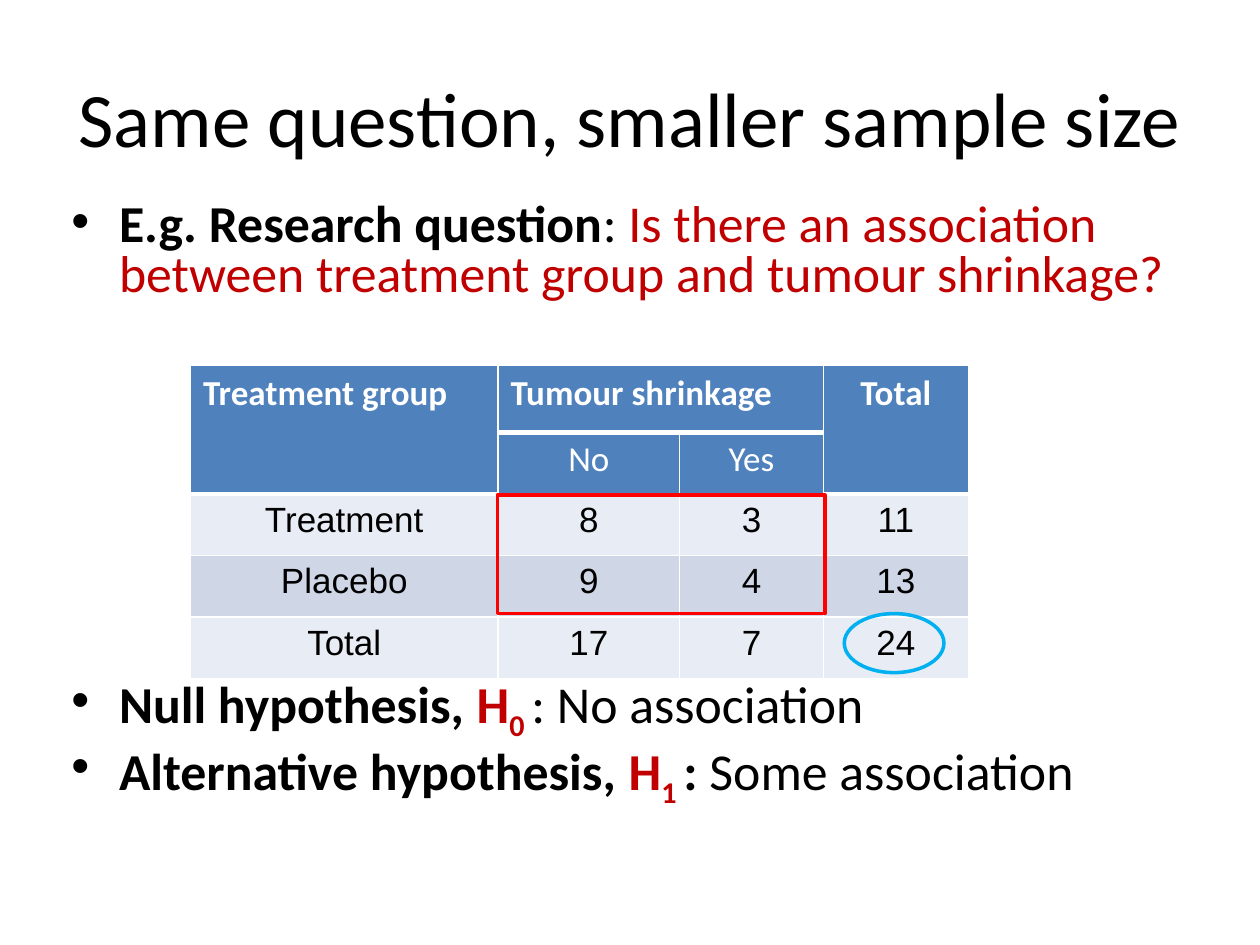
from dataclasses import dataclass

from lxml.etree import SubElement
from pptx import Presentation
from pptx.dml.color import RGBColor
from pptx.enum.shapes import MSO_SHAPE
from pptx.enum.text import MSO_ANCHOR, PP_ALIGN
from pptx.oxml.ns import qn
from pptx.slide import Slide
from pptx.table import _Cell
from pptx.text.text import Font, TextFrame
from pptx.util import Cm, Pt

COLORS = {
    "black": "000000",
    "white": "FFFFFF",
    "emphasis": "C00000",
    "header": "4F81BD",
    "band_light": "E8ECF4",
    "band_dark": "CFD7E7",
    "counts_outline": "FF0000",
    "sample_outline": "00B0F0",
}


@dataclass(frozen=True)
class Phrase:
    text: str
    color: str = "black"
    bold: bool = False
    subscript: bool = False


@dataclass(frozen=True)
class Statement:
    phrases: tuple[Phrase, ...]
    space_before: float


@dataclass(frozen=True)
class Highlight:
    preset: MSO_SHAPE
    box: tuple[float, float, float, float]
    color: str


STATEMENTS = (
    Statement((
        Phrase("E.g. Research question", bold=True),
        Phrase(": "),
        Phrase("Is there an association between treatment group and tumour shrinkage?", "emphasis"),
    ), 0),
    Statement((
        Phrase("Null hypothesis, ", bold=True),
        Phrase("H", "emphasis", True),
        Phrase("0 ", "emphasis", True, True),
        Phrase(": No association"),
    ), 214.9),
    Statement((
        Phrase("Alternative hypothesis, ", bold=True),
        Phrase("H", "emphasis", True),
        Phrase("1 ", "emphasis", True, True),
        Phrase(": ", bold=True),
        Phrase("Some association"),
    ), 5.9),
)

COUNTS = (
    ("Treatment group", "Tumour shrinkage", "", "Total"),
    ("", "No", "Yes", ""),
    ("Treatment", "8", "3", "11"),
    ("Placebo", "9", "4", "13"),
    ("Total", "17", "7", "24"),
)
COLUMN_WIDTHS = (6.2, 3.66, 2.9, 2.92)
ROW_HEIGHTS = (1.35, 1.24, 1.24, 1.24, 1.24)
ROW_FILLS = ("header", "header", "band_light", "band_dark", "band_light")
MERGES = (((0, 0), (1, 0)), ((0, 1), (0, 2)), ((0, 3), (1, 3)))

HIGHLIGHTS = (
    Highlight(MSO_SHAPE.RECTANGLE, (10.03, 9.98, 6.6, 2.39), "counts_outline"),
    Highlight(MSO_SHAPE.OVAL, (17.02, 12.37, 2.01, 1.19), "sample_outline"),
)


def rgb(color: str) -> RGBColor:
    return RGBColor.from_string(COLORS[color])


def style_font(font: Font, size: float, color: str, bold: bool = False, name: str = "Calibri") -> None:
    font.name = name
    font.size = Pt(size)
    font.bold = bold
    font.color.rgb = rgb(color)


def add_text_frame(slide: Slide, *box: float) -> TextFrame:
    frame = slide.shapes.add_textbox(*map(Cm, box)).text_frame
    frame.word_wrap = True
    return frame


def add_title(slide: Slide) -> None:
    title = add_text_frame(slide, 1.27, 0.76, 22.86, 3.18)
    title.vertical_anchor = MSO_ANCHOR.MIDDLE
    title.text = "Same question, smaller sample size"
    heading = title.paragraphs[0]
    heading.alignment = PP_ALIGN.CENTER
    style_font(heading.runs[0].font, 44, "black")


def add_statements(slide: Slide) -> None:
    body = add_text_frame(slide, 1.19, 3.96, 22.86, 13.77)
    for index, statement in enumerate(STATEMENTS):
        paragraph = body.add_paragraph() if index else body.paragraphs[0]
        paragraph.line_spacing = 0.8
        paragraph.space_before = Pt(statement.space_before)
        properties = paragraph._p.get_or_add_pPr()
        properties.set("marL", str(Cm(0.96)))
        properties.set("indent", str(-Cm(0.96)))
        bullet_color = SubElement(properties, qn("a:buClr"))
        SubElement(bullet_color, qn("a:srgbClr"), val=COLORS["black"])
        SubElement(properties, qn("a:buSzPct"), val="99000")
        SubElement(properties, qn("a:buFont"), typeface="Arial")
        SubElement(properties, qn("a:buChar"), char="•")
        for phrase in statement.phrases:
            run = paragraph.add_run()
            run.text = phrase.text
            style_font(run.font, 29.6, phrase.color, phrase.bold)
            if phrase.subscript:
                run._r.get_or_add_rPr().set("baseline", "-25000")


def set_borders(cell: _Cell, bottom_width: float) -> None:
    properties = cell._tc.get_or_add_tcPr()
    for side, width in (("L", 1), ("R", 1), ("T", 1), ("B", bottom_width)):
        border = SubElement(properties, qn(f"a:ln{side}"), w=str(Pt(width)))
        fill = SubElement(border, qn("a:solidFill"))
        SubElement(fill, qn("a:srgbClr"), val=COLORS["white"])


def fill_cell(cell: _Cell, text: str, row: int, column: int) -> None:
    merged_header = row == 0 or (row == 1 and column in (0, 3))
    set_borders(cell, 3 if merged_header else 1)
    cell.fill.solid()
    cell.fill.fore_color.rgb = rgb(ROW_FILLS[row])
    if not text:
        return
    cell.text_frame.text = text
    paragraph = cell.text_frame.paragraphs[0]
    if row or column == 3:
        paragraph.alignment = PP_ALIGN.CENTER
    if row:
        paragraph.line_spacing = 0.65
        cell.vertical_anchor = MSO_ANCHOR.MIDDLE
        cell.margin_left = cell.margin_right = Cm(0.18)
        cell.margin_top = cell.margin_bottom = 0
    in_header = row < 2
    style_font(
        paragraph.runs[0].font,
        20,
        "white" if in_header else "black",
        row == 0,
        "Calibri" if in_header else "Arial",
    )


def add_counts_table(slide: Slide) -> None:
    table = slide.shapes.add_table(
        len(ROW_HEIGHTS), len(COLUMN_WIDTHS),
        Cm(3.84), Cm(7.37), Cm(sum(COLUMN_WIDTHS)), Cm(sum(ROW_HEIGHTS)),
    ).table
    for column, width in zip(table.columns, COLUMN_WIDTHS):
        column.width = Cm(width)
    for row, height in zip(table.rows, ROW_HEIGHTS):
        row.height = Cm(height)
    for first, last in MERGES:
        table.cell(*first).merge(table.cell(*last))
    for row, values in enumerate(COUNTS):
        for column, text in enumerate(values):
            fill_cell(table.cell(row, column), text, row, column)


def add_highlight(slide: Slide, highlight: Highlight) -> None:
    outline = slide.shapes.add_shape(highlight.preset, *map(Cm, highlight.box))
    outline.shadow.inherit = False
    outline.fill.background()
    outline.line.color.rgb = rgb(highlight.color)
    outline.line.width = Pt(2)


def main() -> None:
    presentation = Presentation()
    presentation.slide_width = Cm(25.4)
    presentation.slide_height = Cm(19.05)
    slide = presentation.slides.add_slide(presentation.slide_layouts[6])
    add_title(slide)
    add_statements(slide)
    add_counts_table(slide)
    for highlight in HIGHLIGHTS:
        add_highlight(slide, highlight)
    presentation.save("out.pptx")


if __name__ == "__main__":
    main()
